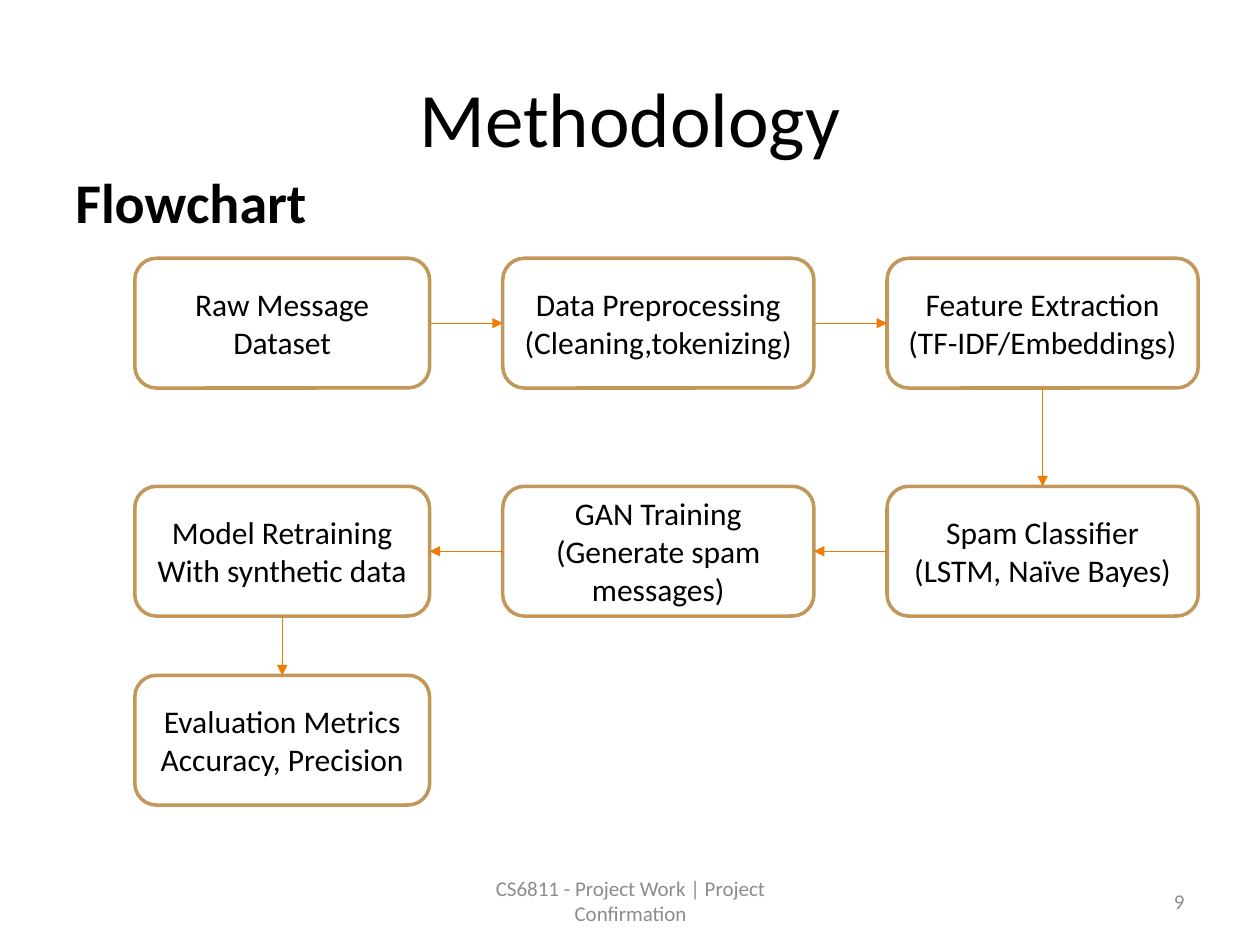
from lxml import etree
from pptx import Presentation
from pptx.dml.color import RGBColor
from pptx.enum.shapes import MSO_CONNECTOR, MSO_SHAPE
from pptx.enum.text import MSO_ANCHOR, PP_ALIGN
from pptx.oxml.ns import qn
from pptx.util import Inches, Pt

LEFT, CENTER, RIGHT = PP_ALIGN.LEFT, PP_ALIGN.CENTER, PP_ALIGN.RIGHT
TOP, MIDDLE = MSO_ANCHOR.TOP, MSO_ANCHOR.MIDDLE
ROUNDED = MSO_SHAPE.ROUNDED_RECTANGLE
STRAIGHT = MSO_CONNECTOR.STRAIGHT
SITE_TOP, SITE_LEFT, SITE_BOTTOM, SITE_RIGHT = range(4)

BLACK = RGBColor(0x00, 0x00, 0x00)
WHITE = RGBColor(0xFF, 0xFF, 0xFF)
GRAY = RGBColor(0x8C, 0x8C, 0x8C)
TAN = RGBColor(0xC1, 0x98, 0x59)
ORANGE = RGBColor(0xF0, 0x7C, 0x03)

COLUMNS = [(1.07, 2.34), (3.99, 2.47), (7.04, 2.47)]
ROWS = [2.05, 3.86, 5.36]
STEP_HEIGHT = 1.03
STEPS = [
    (0, 0, ["Raw Message Dataset"]),
    (1, 0, ["Data Preprocessing", "(Cleaning,tokenizing)"]),
    (2, 0, ["Feature Extraction", "(TF-IDF/Embeddings)"]),
    (2, 1, ["Spam Classifier", "(LSTM, Naïve Bayes)"]),
    (1, 1, ["GAN Training", "(Generate spam messages)"]),
    (0, 1, ["Model Retraining", "With synthetic data"]),
    (0, 2, ["Evaluation Metrics", "Accuracy, Precision"]),
]
RIGHTWARD = (SITE_RIGHT, SITE_LEFT)
LEFTWARD = (SITE_LEFT, SITE_RIGHT)
DOWNWARD = (SITE_BOTTOM, SITE_TOP)
FLOW = [RIGHTWARD, RIGHTWARD, DOWNWARD, LEFTWARD, LEFTWARD, DOWNWARD]


class SlideBuilder:
    """Holds the text style and the current slide, and adds elements to it."""

    font_name = "Calibri"

    def __init__(self, slide):
        self.slide = slide

    def set_lines(self, shape, lines, size, color=BLACK, align=CENTER,
                  anchor=MIDDLE, bold=False, space_before=0):
        frame = shape.text_frame
        frame.word_wrap = True
        frame.vertical_anchor = anchor
        for index, line in enumerate(lines):
            paragraph = frame.add_paragraph() if index else frame.paragraphs[0]
            paragraph.alignment = align
            paragraph.space_before = Pt(space_before)
            run = paragraph.add_run()
            run.text = line
            run.font.name = self.font_name
            run.font.size = Pt(size)
            run.font.bold = bold
            run.font.color.rgb = color

    def text(self, left, top, width, height, line, size, **style):
        box = self.slide.shapes.add_textbox(
            Inches(left), Inches(top), Inches(width), Inches(height))
        self.set_lines(box, [line], size, **style)

    def step(self, column, row, lines):
        left, width = COLUMNS[column]
        shape = self.slide.shapes.add_shape(
            ROUNDED, Inches(left), Inches(ROWS[row]), Inches(width), Inches(STEP_HEIGHT))
        shape.shadow.inherit = False
        shape.fill.solid()
        shape.fill.fore_color.rgb = WHITE
        shape.line.color.rgb = TAN
        shape.line.width = Pt(2)
        self.set_lines(shape, lines, 18)
        return shape

    def arrow(self, source, target, sites):
        connector = self.slide.shapes.add_connector(STRAIGHT, 0, 0, 0, 0)
        connector.begin_connect(source, sites[0])
        connector.end_connect(target, sites[1])
        connector.line.color.rgb = ORANGE
        connector.line.width = Pt(0.75)
        properties = connector.element.spPr
        etree.SubElement(properties.find(qn("a:ln")), qn("a:tailEnd"), type="triangle")
        etree.SubElement(properties, qn("a:effectLst"))


def main():
    presentation = Presentation()
    presentation.slide_width = Inches(10)
    presentation.slide_height = Inches(7.5)
    builder = SlideBuilder(presentation.slides.add_slide(presentation.slide_layouts[6]))

    builder.text(0.5, 0.3, 9, 1.25, "Methodology", 44)
    builder.text(0.5, 1.28, 9, 5.42, "Flowchart", 32, align=LEFT, anchor=TOP,
                 bold=True, space_before=6.4)
    builder.text(3.42, 6.95, 3.17, 0.4, "CS6811 - Project Work | Project Confirmation",
                 12, color=GRAY)
    builder.text(7.17, 6.95, 2.33, 0.4, "9", 12, color=GRAY, align=RIGHT)

    steps = [builder.step(*step) for step in STEPS]
    for source, target, sites in zip(steps, steps[1:], FLOW):
        builder.arrow(source, target, sites)

    presentation.save("out.pptx")


if __name__ == "__main__":
    main()
